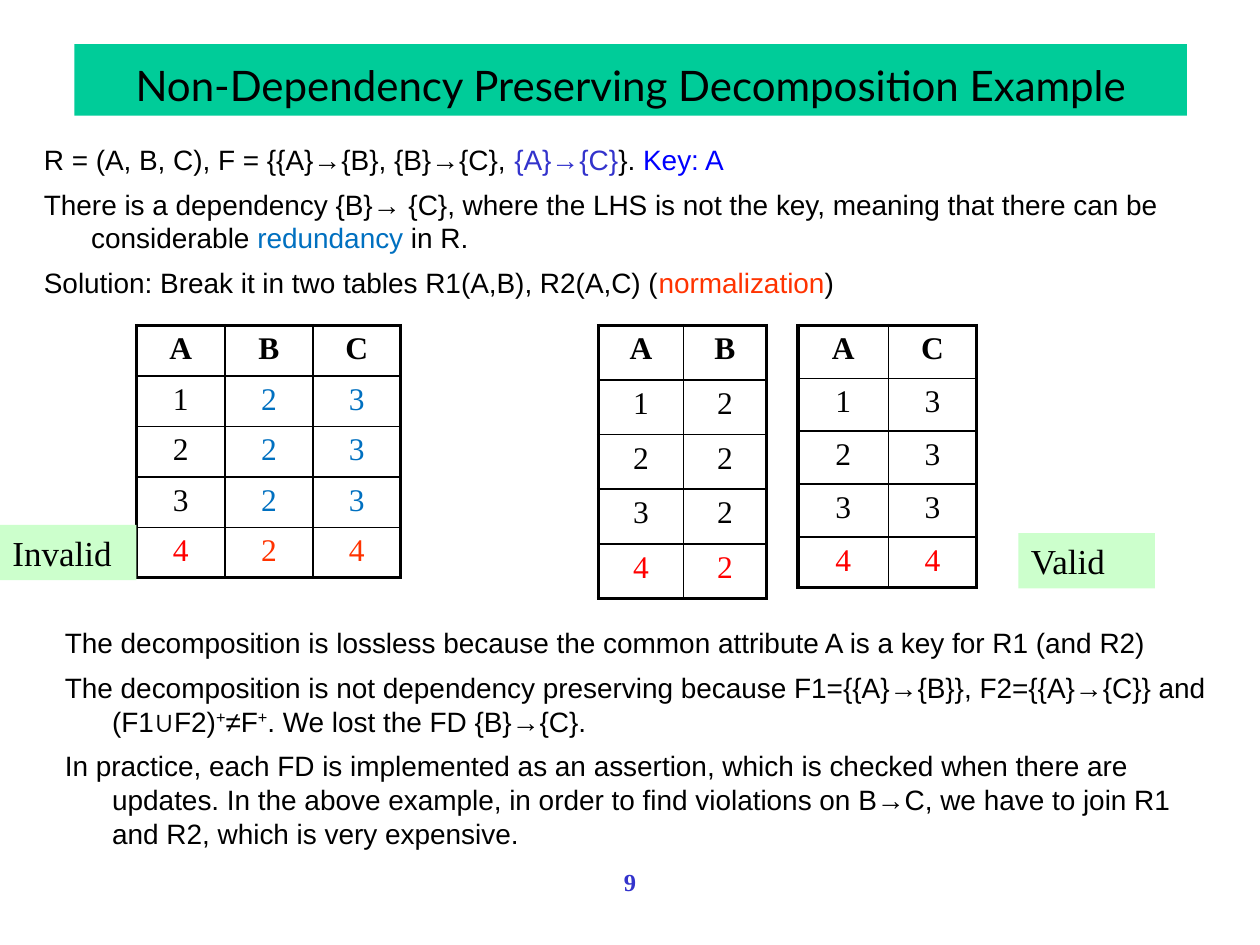
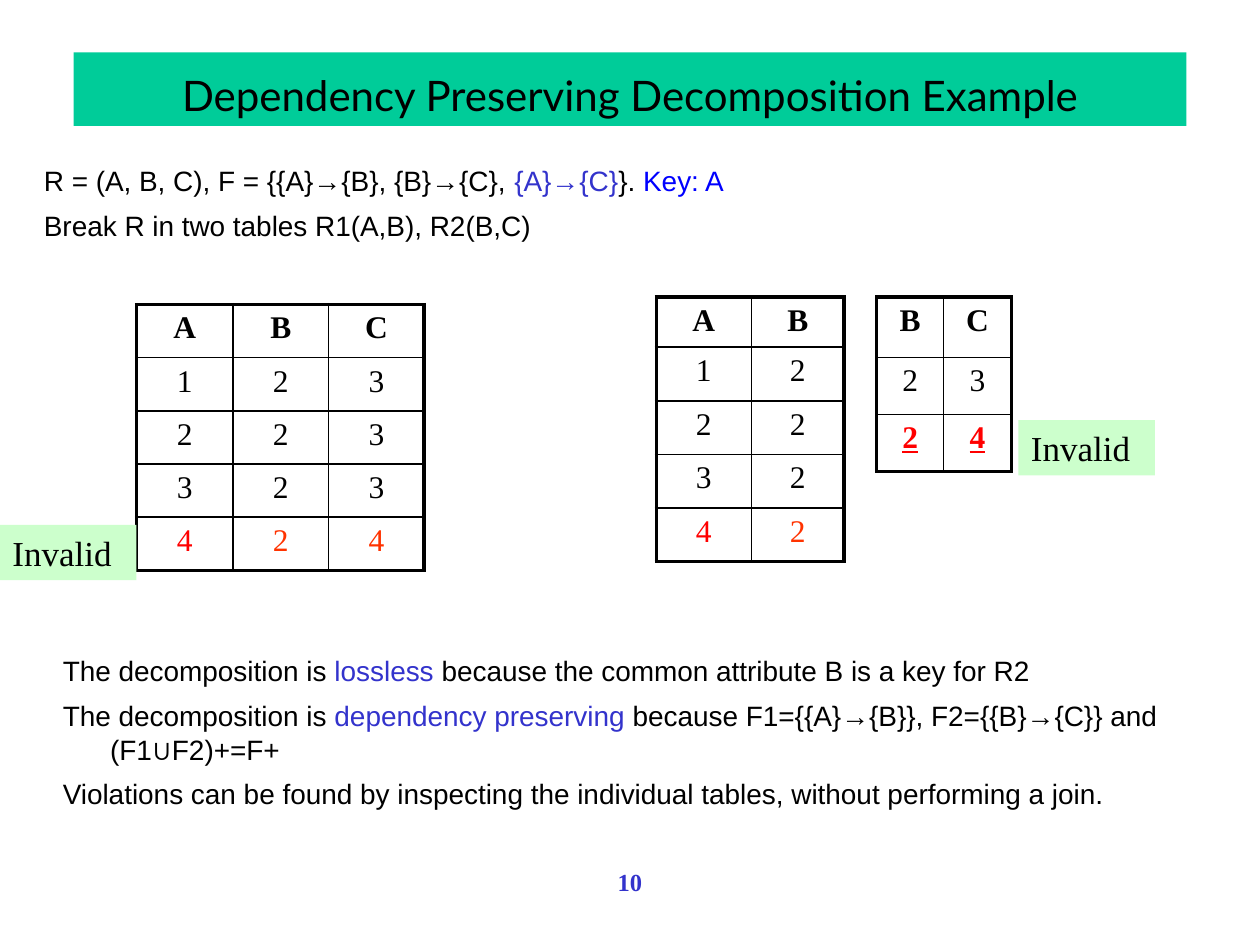
"""Build two slides on decomposing a relation, with and without preserved dependencies."""
from lxml.etree import SubElement as Sub, Element as Elem
from pptx import Presentation
from pptx.dml.color import RGBColor as RGB
from pptx.enum.shapes import MSO_SHAPE as Shape
from pptx.enum.text import MSO_ANCHOR as Anchor, PP_ALIGN as Align
from pptx.oxml.ns import qn
from pptx.util import Pt

HUES = {"black": "000000", "teal": "00CC99", "mint": "CCFFCC", "indigo": "3333CC",
        "blue": "0000FF", "sky": "0070C0", "orange": "FF3300", "red": "FF0000"}
FONTS = {
    "title": {"name": "Lato", "size": Pt(24), "bold": False},
    "body": {"name": "Arial", "size": Pt(16)},
    "head": {"name": "Times New Roman", "size": Pt(18), "bold": True},
    "cell": {"name": "Times New Roman", "size": Pt(18), "bold": False},
    "mark": {"name": "Times New Roman", "size": Pt(18), "bold": True, "underline": True},
    "label": {"name": "Times New Roman", "size": Pt(20)},
    "page": {"name": "Times New Roman", "size": Pt(14), "bold": True},
}
TINTS = {"": ("cell", "black"), "s": ("cell", "sky"), "r": ("cell", "red"),
         "o": ("cell", "orange"), "u": ("mark", "red")}
THIN, THICK = 1, 2.25
HANG, GAP = 27, 6.4

GIVEN = ["R = (A, B, C), F = {{A}→{B}, {B}→{C}, ", ("{A}→{C}", "indigo"), "}. ", ("Key: A", "blue")]
SLIDES = [
    {
        "page": "9",
        "title": ("Non-Dependency Preserving Decomposition Example", (42.5, 25.2, 635.8, 41)),
        "texts": [
            ((18, 77.8, 702, 84), [
                GIVEN,
                ["There is a dependency {B}→ {C}, where the LHS is not the key, meaning that "
                 "there can be considerable ", ("redundancy", "sky"), " in R."],
                ["Solution: Break it in two tables R1(A,B), R2(A,C) (", ("normalization", "orange"), ")"],
            ]),
            ((30, 354, 669, 159), [
                ["The decomposition is lossless because the common attribute A is a key for R1 (and R2)"],
                ["The decomposition is not dependency preserving because F1={{A}→{B}}, "
                 "F2={{A}→{C}} and (F1∪F2)", ("+", "black", 30), "≠F", ("+", "black", 30),
                 ". We lost the FD {B}→{C}."],
                ["In practice, each FD is implemented as an assertion, which is checked when there "
                 "are updates. In the above example, in order to find violations on B→C, we have "
                 "to join R1 and R2, which is very expensive."],
            ]),
        ],
        "tables": [
            ((78, 186), (50.6, 50.2, 50.2), [28.6] * 5,
             ["A B C", "1 s2 s3", "2 s2 s3", "3 s2 s3", "r4 o2 o4"]),
            ((456, 186), (51.6, 50.4), [30.2] * 4 + [28.8], ["A C", "1 3", "2 3", "3 3", "r4 r4"]),
            ((342, 186), (48.6, 47.4), [31.2] * 5, ["A B", "1 2", "2 2", "3 2", "r4 r2"]),
        ],
        "labels": [("Valid", 582, 304.6), ("Invalid", 0, 300)],
    },
    {
        "page": "10",
        "title": ("Dependency Preserving Decomposition Example", (42, 30, 636, 42)),
        "texts": [
            ((18, 90, 702, 71), [GIVEN, ["Break R in two tables R1(A,B), R2(B,C)"]]),
            ((28.8, 370, 657, 97), [
                ["The decomposition is ", ("lossless", "indigo"),
                 " because the common attribute B is a key for R2"],
                ["The decomposition is ", ("dependency preserving", "indigo"),
                 " because F1={{A}→{B}}, F2={{B}→{C}} and (F1∪F2)+=F+"],
                ["Violations can be found by inspecting the individual tables, without performing a join."],
            ]),
        ],
        "tables": [
            ((78, 174), (55.2, 54.6, 54.6), [30.4] * 5,
             ["A B C", "1 2 3", "2 2 3", "3 2 3", "r4 o2 o4"]),
            ((375, 169.6), (54.4, 53), [28.8] + [30.6] * 4, ["A B", "1 2", "2 2", "3 2", "r4 o2"]),
            ((501, 169.6), (38.2, 38.8), [34.6, 32.6, 32.6], ["B C", "2 3", "u2 u4"]),
        ],
        "labels": [("Invalid", 0, 300), ("Invalid", 582, 240)],
    },
]


def pts(box):
    return [Pt(n) for n in box]


def write(para, text, kind, hue="black", lift=0):
    run = para.add_run()
    run.text = text
    for key, val in FONTS[kind].items():
        setattr(run.font, key, val)
    run.font.color.rgb = RGB.from_string(HUES[hue])
    if lift:
        run.font._element.set("baseline", str(lift * 1000))


def add_block(slide, box, paras):
    frame = slide.shapes.add_textbox(*pts(box)).text_frame
    frame.word_wrap = True
    for i, parts in enumerate(paras):
        para = frame.add_paragraph() if i else frame.paragraphs[0]
        props = para._p.get_or_add_pPr()
        props.set("marL", str(Pt(HANG)))
        props.set("indent", str(Pt(-HANG)))
        para.space_before = Pt(GAP if i else 0)
        for part in parts:
            text, *look = (part,) if isinstance(part, str) else part
            write(para, text, "body", *look)


def add_band(slide, box, text, kind, fill, align, anchor):
    band = slide.shapes.add_shape(Shape.RECTANGLE, *pts(box))
    band.shadow.inherit = False
    band.fill.solid()
    band.fill.fore_color.rgb = RGB.from_string(HUES[fill])
    band.line.fill.background()
    frame = band.text_frame
    frame.word_wrap, frame.vertical_anchor = True, anchor
    frame.paragraphs[0].alignment = align
    write(frame.paragraphs[0], text, kind)


def edge(cell, sides):
    props = cell._tc.get_or_add_tcPr()
    for i, (side, outer) in enumerate(sides.items()):
        line = Elem(qn("a:ln" + side), w=str(Pt(THICK if outer else THIN)))
        Sub(Sub(line, qn("a:solidFill")), qn("a:srgbClr"), val=HUES["black"])
        props.insert(i, line)


def add_grid(slide, spot, cols, highs, rows):
    box = (*spot, sum(cols), sum(highs))
    grid = slide.shapes.add_table(len(rows), len(cols), *pts(box)).table
    grid.first_row = grid.horz_banding = False
    for col, wide in zip(grid.columns, cols):
        col.width = Pt(wide)
    for r, (row, high) in enumerate(zip(rows, highs)):
        grid.rows[r].height = Pt(high)
        for c, code in enumerate(row.split()):
            cell = grid.cell(r, c)
            cell.fill.background()
            edge(cell, {"L": c == 0, "R": c == len(cols) - 1, "T": r == 0, "B": r == len(rows) - 1})
            para = cell.text_frame.paragraphs[0]
            para.alignment = Align.CENTER
            kind, hue = TINTS[code[:-1]] if r else ("head", "black")
            write(para, code[-1], kind, hue)


def add_page(slide, num):
    frame = slide.shapes.add_textbox(*pts((36, 492, 648, 36))).text_frame
    frame.word_wrap = True
    frame.paragraphs[0].alignment = Align.CENTER
    write(frame.paragraphs[0], num, "page", "indigo")


def main():
    deck = Presentation()
    deck.slide_width, deck.slide_height = Pt(720), Pt(540)
    for data in SLIDES:
        slide = deck.slides.add_slide(deck.slide_layouts[6])
        add_page(slide, data["page"])
        text, box = data["title"]
        add_band(slide, box, text, "title", "teal", Align.CENTER, Anchor.BOTTOM)
        for block in data["texts"]:
            add_block(slide, *block)
        for table in data["tables"]:
            add_grid(slide, *table)
        for text, left, top in data["labels"]:
            add_band(slide, (left, top, 78, 31.6), text, "label", "mint", Align.LEFT, Anchor.TOP)
    deck.save("out.pptx")


if __name__ == "__main__":
    main()
